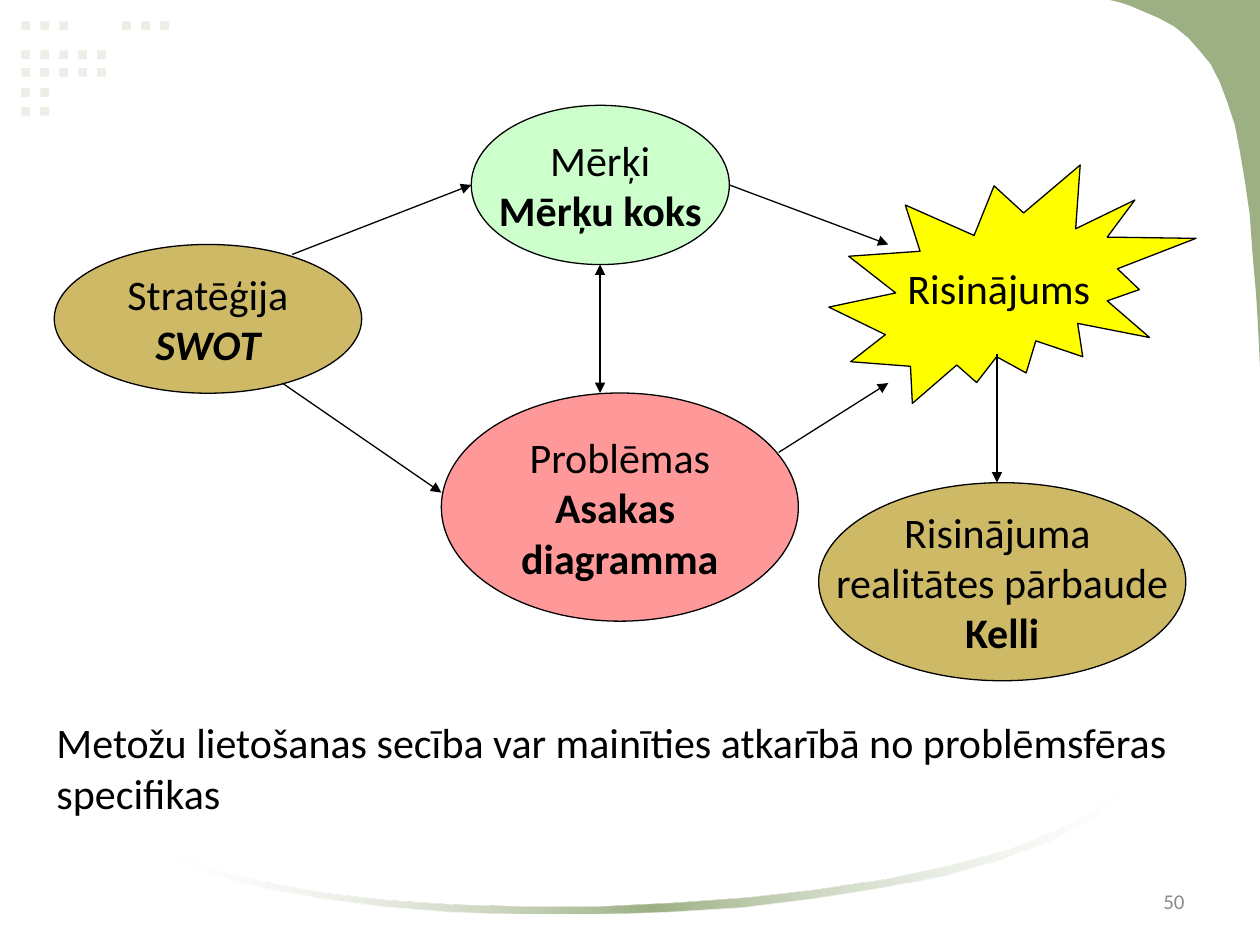
from lxml.etree import SubElement
from pptx import Presentation
from pptx.dml.color import RGBColor
from pptx.enum.shapes import MSO_CONNECTOR, MSO_SHAPE
from pptx.enum.text import MSO_ANCHOR, PP_ALIGN
from pptx.oxml.ns import qn
from pptx.util import Pt

BLACK = RGBColor(0, 0, 0)
GREY = RGBColor(0x8C, 0x8C, 0x8C)
PALE = RGBColor(0xEB, 0xEF, 0xE6)
GREEN = RGBColor(0x9C, 0xB0, 0x84)
WHITE = RGBColor(0xFF, 0xFF, 0xFF)
TAN = RGBColor(0xCE, 0xB9, 0x66)
MINT = RGBColor(0xCC, 0xFF, 0xCC)
PINK = RGBColor(0xFF, 0x99, 0x99)
YELLOW = RGBColor(0xFF, 0xFF, 0)

OVAL, BURST = MSO_SHAPE.OVAL, MSO_SHAPE.EXPLOSION2
# kind, fill, (left, top, width, height), lines of (text, style)
NODES = [
    (OVAL, TAN, (31, 139.7, 175.7, 85), [("Stratēģija", ""), ("SWOT", "bi")]),
    (OVAL, MINT, (269.3, 60.2, 147.5, 91), [("Mērķi", ""), ("Mērķu koks", "b")]),
    (OVAL, PINK, (252.2, 224.6, 204, 130.4),
     [("Problēmas", ""), ("Asakas ", "b"), ("diagramma", "b")]),
    (BURST, YELLOW, (473.6, 94.3, 209.8, 136.2), [("Risinājums", "")]),
    (OVAL, TAN, (467.8, 275.8, 209.8, 113.2),
     [("Risinājuma ", ""), ("realitātes pārbaude", ""), ("Kelli", "b")]),
]
# start, end, arrowheads
ARROWS = [
    ((167, 145.4), (269.3, 105.7), ["tailEnd"]),
    ((161.3, 218.9), (252.2, 281.5), ["tailEnd"]),
    ((342.9, 151.2), (342.9, 224.6), ["headEnd", "tailEnd"]),
    ((445, 258.5), (507.6, 218.9), ["tailEnd"]),
    ((416.8, 105.7), (507.6, 139.7), ["tailEnd"]),
    ((569.7, 202.3), (569.7, 275.8), ["tailEnd"]),
]
NOTE = "Metožu lietošanas secība var mainīties atkarībā no problēmsfēras specifikas"
NUMBER = "50"

DOT, PITCH, EDGE, GAP = 5, 10.85, 12.2, 57.6
# top, dots in the left block, dots in the right block
DOTS = [(12.2, 3, 3), (28.8, 5, 0), (38.9, 5, 0), (50.4, 2, 0), (61.2, 2, 0)]

CORNER = [
    (634.3, 0), (720, 0), (720, 209.5), (718.6, 181.4), (717.8, 168.5),
    (715.7, 144.7), (714.2, 123.1), (711.4, 103.7), (708.5, 86.4), (705.6, 71.3),
    (701.3, 58.3), (697, 46.8), (691.9, 36.7), (685.4, 28.8), (679, 21.6),
    (671, 15.1), (661.7, 10.1), (651.6, 5.8), (646.6, 3.6), (640.1, 1.4),
]
SWOOSH = [
    (642, 450), (642, 455), (624, 468), (601, 480), (572, 491), (540, 500),
    (504, 507), (465, 513), (424, 518), (382, 520.5), (340, 522), (298, 522),
    (257, 520.5), (219, 517.5), (184, 513), (151, 507), (124, 500), (102, 491),
    (102, 489), (124.5, 497.5), (152.5, 504), (185, 510), (221, 514),
    (260, 516.5), (300, 517.5), (342.5, 517.5), (384.5, 515.5), (427, 512.5),
    (467, 508), (506, 502), (542, 494.5), (574.5, 486), (602.5, 475), (625, 463.5),
]
# position and opacity in percent, colour
FADE = [(0, 30, WHITE), (50, 100, GREEN), (100, 30, WHITE)]


def paint(shape, fill, line=None):
    shape.shadow.inherit = False
    shape.fill.solid()
    shape.fill.fore_color.rgb = fill
    if line is None:
        shape.line.fill.background()
    else:
        shape.line.color.rgb = line
        shape.line.width = Pt(0.75)


def write(frame, lines, size=24, color=BLACK, align=PP_ALIGN.LEFT):
    for i, (text, style) in enumerate(lines):
        para = frame.add_paragraph() if i else frame.paragraphs[0]
        para.text = text
        para.alignment = align
        font = para.font
        font.name, font.size, font.color.rgb = "Calibri", Pt(size), color
        font.bold, font.italic = "b" in style, "i" in style


def add_free(shapes, points):
    first, *rest = [(Pt(x), Pt(y)) for x, y in points]
    pen = shapes.build_freeform(*first)
    pen.add_line_segments(rest, close=True)
    shape = pen.convert_to_shape()
    paint(shape, GREEN)
    return shape


def fade(shape):
    """Fill the shape with the see-through sideways gradient."""
    shape.fill.gradient()
    shape.fill.gradient_angle = 0
    stops = shape.element.spPr.find(".//" + qn("a:gsLst"))
    for old in list(stops):
        stops.remove(old)
    for place, alpha, color in FADE:
        stop = SubElement(stops, qn("a:gs"), pos=str(place * 1000))
        tone = SubElement(stop, qn("a:srgbClr"), val=str(color))
        SubElement(tone, qn("a:alpha"), val=str(alpha * 1000))


def add_arrow(shapes, start, end, heads):
    arrow = shapes.add_connector(
        MSO_CONNECTOR.STRAIGHT, *[Pt(v) for v in start + end])
    arrow.line.color.rgb = BLACK
    arrow.line.width = Pt(0.75)
    line = arrow.line._get_or_add_ln()
    for head in heads:
        SubElement(line, qn("a:" + head), type="triangle")
    SubElement(arrow.element.spPr, qn("a:effectLst"))


def add_text(shapes, box, text, **look):
    frame = shapes.add_textbox(*[Pt(v) for v in box]).text_frame
    frame.word_wrap = True
    write(frame, [(text, "")], **look)
    return frame


def main():
    deck = Presentation()
    deck.slide_width, deck.slide_height = Pt(720), Pt(540)
    shapes = deck.slides.add_slide(deck.slide_layouts[6]).shapes

    for top, left, right in DOTS:
        spots = [EDGE + i * PITCH for i in range(left)]
        spots += [EDGE + GAP + i * PITCH for i in range(right)]
        for x in spots:
            dot = shapes.add_shape(
                MSO_SHAPE.RECTANGLE, Pt(x), Pt(top), Pt(DOT), Pt(DOT))
            paint(dot, PALE)
    add_free(shapes, CORNER)
    fade(add_free(shapes, SWOOSH))

    for kind, fill, box, lines in NODES:
        node = shapes.add_shape(kind, *[Pt(v) for v in box])
        paint(node, fill, BLACK)
        node.text_frame.word_wrap = False
        node.text_frame.vertical_anchor = MSO_ANCHOR.MIDDLE
        write(node.text_frame, lines, align=PP_ALIGN.CENTER)
    for arrow in ARROWS:
        add_arrow(shapes, *arrow)

    add_text(shapes, (25.2, 406.1, 652.3, 65.5), NOTE)
    page = add_text(shapes, (516.2, 500.4, 167.8, 28.8), NUMBER,
                    size=12, color=GREY, align=PP_ALIGN.RIGHT)
    page.vertical_anchor = MSO_ANCHOR.MIDDLE
    deck.save("out.pptx")


if __name__ == "__main__":
    main()
